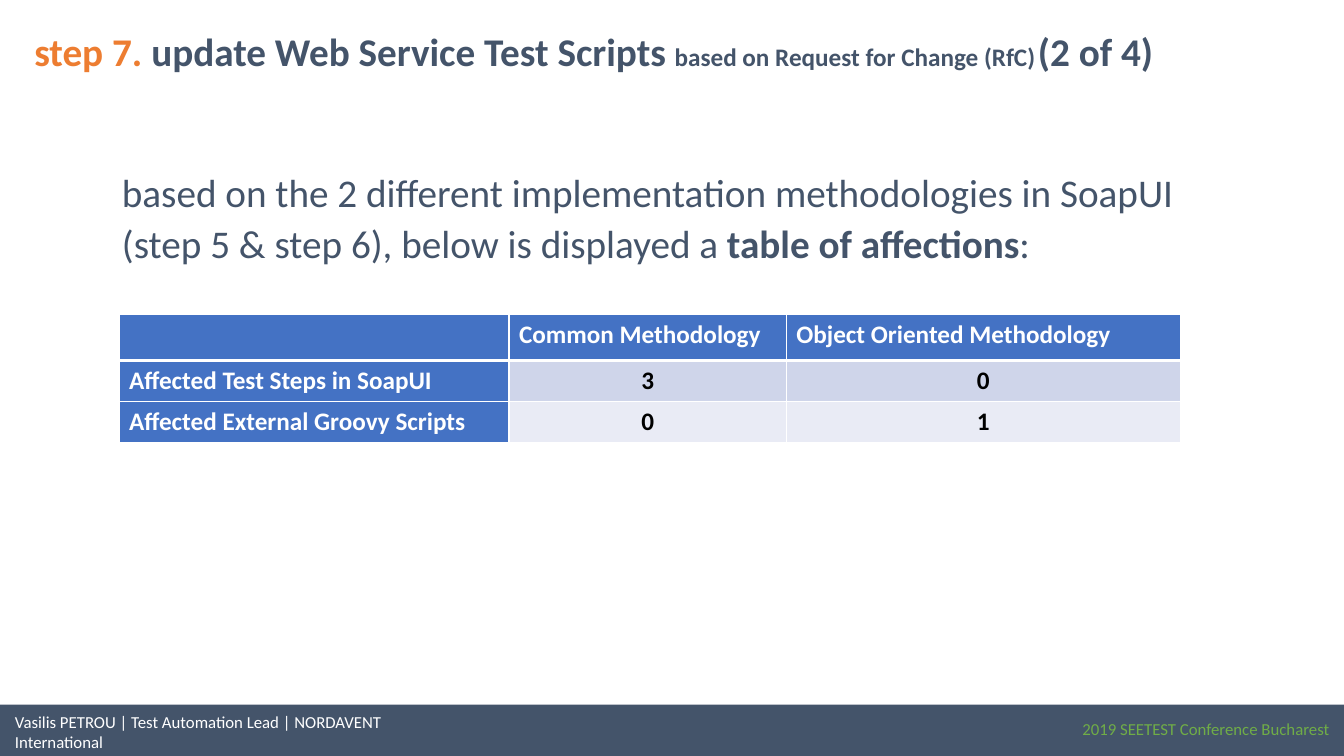
from lxml import etree
from pptx import Presentation
from pptx.dml.color import RGBColor
from pptx.enum import shapes, text
from pptx.oxml import ns
from pptx.util import Pt

COLORS = {
    "slate": "44546A", "orange": "ED7D31", "green": "70AD47", "blue": "4472C4",
    "band_dark": "CFD5EA", "band_light": "E9EBF5", "white": "FFFFFF", "black": "000000",
}
FONT = "Calibri"
PAGE_WIDTH, PAGE_HEIGHT = 960, 540


def color(name):
    return RGBColor.from_string(COLORS[name])


def add_span(para, words, size, shade, bold=False):
    span = para.add_run()
    span.text = words
    span.font.name = FONT
    span.font.size = Pt(size)
    span.font.bold = bold
    span.font.color.rgb = color(shade)


def write(box, spans, align=text.PP_ALIGN.LEFT):
    """Fill the first paragraph of a box or cell with spans."""
    para = box.text_frame.paragraphs[0]
    para.alignment = align
    para.space_before = Pt(0)
    for span in spans:
        add_span(para, *span)
    return para


def place(box, left, top, width, height, anchor=text.MSO_ANCHOR.TOP):
    box.left, box.top, box.width, box.height = Pt(left), Pt(top), Pt(width), Pt(height)
    box.text_frame.word_wrap = True
    box.text_frame.vertical_anchor = anchor
    box.text_frame.auto_size = text.MSO_AUTO_SIZE.NONE


def add_title(page):
    title = page.shapes.title
    place(title, 17.3, 15.8, 883.4, 41)
    write(title, [
        ("step 7. ", 28, "orange", True),
        ("update Web Service Test Scripts ", 28, "slate", True),
        ("based on Request for Change (RfC)", 18, "slate", True),
        (" ", 7, "slate"),
        ("(2 of 4)", 28, "slate", True),
    ])


def add_intro(page):
    body = page.placeholders[1]
    place(body, 79.9, 114.5, 768.2, 78.5)
    props = body.text_frame.paragraphs[0]._p.get_or_add_pPr()
    props.set("marL", "0")
    props.set("indent", "0")
    etree.SubElement(props, ns.qn("a:buNone"))
    para = write(body, [
        ("based on the 2 different implementation methodologies in SoapUI "
         "(step 5 & step 6), below is displayed a ", 28, "slate"),
        ("table of affections", 28, "slate", True),
        (":", 28, "slate"),
    ])
    para.line_spacing = 1.07
    para.space_after = Pt(8)


def set_borders(cell, bottom, top):
    props = cell._tc.get_or_add_tcPr()
    widths = {"lnL": 1, "lnR": 1, "lnT": top, "lnB": bottom}
    for position, (side, width) in enumerate(widths.items()):
        line = etree.Element(ns.qn(f"a:{side}"), w=str(Pt(width)))
        fill = etree.SubElement(line, ns.qn("a:solidFill"))
        etree.SubElement(fill, ns.qn("a:srgbClr"), val=COLORS["white"])
        props.insert(position, line)


def add_affections_table(page):
    rows = [
        ["", "Common Methodology", "Object Oriented Methodology"],
        ["Affected Test Steps in SoapUI", "3", "0"],
        ["Affected External Groovy Scripts", "0", "1"],
    ]
    widths, heights = [278.6, 198, 281.5], [33, 28.8, 28.8]
    bands = [None, "band_dark", "band_light"]
    table = page.shapes.add_table(len(rows), len(widths), Pt(85), Pt(224.6),
                                  Pt(sum(widths)), Pt(sum(heights))).table
    for column, width in zip(table.columns, widths):
        column.width = Pt(width)
    for r, values in enumerate(rows):
        table.rows[r].height = Pt(heights[r])
        for c, value in enumerate(values):
            cell = table.cell(r, c)
            heading = r == 0 or c == 0
            cell.fill.solid()
            cell.fill.fore_color.rgb = color("blue" if heading else bands[r])
            set_borders(cell, bottom=3 if r == 0 else 1, top=3 if r == 1 else 1)
            if value:
                write(cell, [(value, 18, "white" if heading else "black", True)],
                      text.PP_ALIGN.LEFT if heading else text.PP_ALIGN.CENTER)


def add_bar(page, top):
    bar = page.shapes.add_shape(shapes.MSO_SHAPE.RECTANGLE, 0, Pt(top),
                                Pt(PAGE_WIDTH), Pt(PAGE_HEIGHT - top))
    bar.shadow.inherit = False
    bar.fill.solid()
    bar.fill.fore_color.rgb = color("slate")
    bar.line.fill.background()


def add_footer_text(page, words, left, top, width, shade, align):
    box = page.shapes.add_textbox(0, 0, 0, 0)
    place(box, left, top, width, 28.8, text.MSO_ANCHOR.MIDDLE)
    write(box, [(words, 12, shade)], align)


def main():
    deck = Presentation()
    deck.slide_width, deck.slide_height = Pt(PAGE_WIDTH), Pt(PAGE_HEIGHT)
    page = deck.slides.add_slide(deck.slide_layouts[1])

    # Footer
    add_bar(page, 503.3)
    add_footer_text(page, "2019 SEETEST Conference Bucharest", 693.4, 506.2, 263.5,
                    "green", text.PP_ALIGN.RIGHT)
    add_footer_text(page, "Vasilis PETROU | Test Automation Lead | NORDAVENT International",
                    3.6, 508.3, 339.1, "white", text.PP_ALIGN.LEFT)

    # Content
    add_title(page)
    add_intro(page)
    add_affections_table(page)

    deck.save("out.pptx")


if __name__ == "__main__":
    main()
